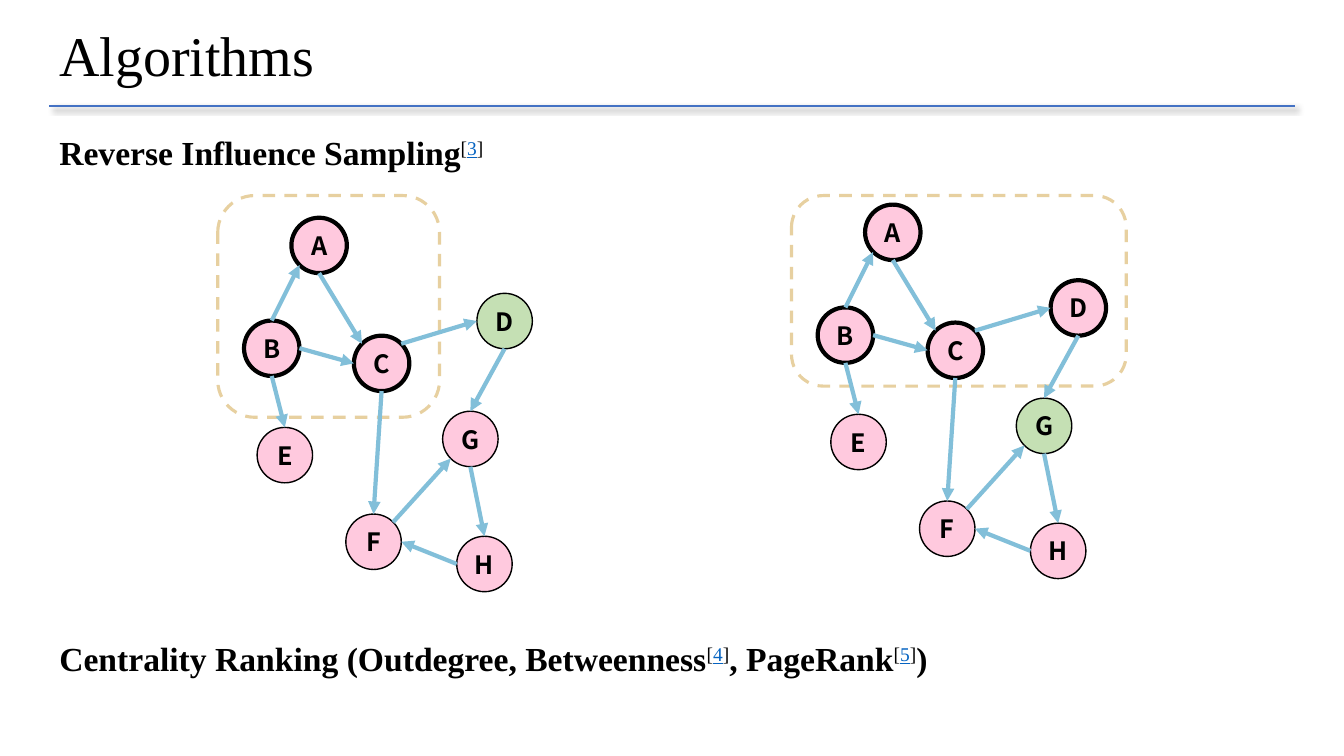
from math import cos, radians, sin

from lxml.etree import SubElement
from pptx import Presentation
from pptx.dml.color import RGBColor
from pptx.enum.dml import MSO_LINE_DASH_STYLE as DASH
from pptx.enum.shapes import MSO_CONNECTOR, MSO_SHAPE
from pptx.enum.text import MSO_ANCHOR, MSO_AUTO_SIZE, PP_ALIGN
from pptx.oxml.ns import qn
from pptx.util import Inches, Pt

BLACK = RGBColor(0x00, 0x00, 0x00)
RULE_BLUE = RGBColor(0x44, 0x72, 0xC4)
LINK_BLUE = RGBColor(0x05, 0x63, 0xC1)
ARROW_BLUE = RGBColor(0x82, 0xBF, 0xD9)
SAND = RGBColor(0xE7, 0xD0, 0xA0)
PINK = RGBColor(0xFF, 0xC9, 0xDE)
GREEN = RGBColor(0xC5, 0xE0, 0xB4)
SERIF, SANS = "Times New Roman", "Noto Sans CJK SC"

TITLE = "Algorithms"
# Plain strings are bold text, integers are reference numbers
SAMPLING = ["Reverse Influence Sampling", 3]
CENTRALITY = ["Centrality Ranking (Outdegree, Betweenness", 4, ", PageRank", 5, ")"]

# Top left corner of each node in the first graph
NODES = {
    "A": (2.89, 2.16), "B": (2.42, 3.18), "C": (3.51, 3.33), "D": (4.73, 2.91),
    "E": (2.55, 4.24), "F": (3.43, 5.10), "G": (4.39, 4.08), "H": (4.53, 5.32),
}
DIAMETER = 0.55
# Angles clockwise from the right-hand side of a node
ANGLES = {"right": 0, "bottom": 90, "bottom left": 135, "left": 180,
          "top left": 225, "top": 270, "top right": 315}
EDGES = [
    ("B", "top", "A", "bottom left"), ("A", "bottom", "C", "top left"),
    ("B", "bottom", "E", "top"), ("B", "right", "C", "left"),
    ("C", "top right", "D", "left"), ("C", "bottom", "F", "top"),
    ("F", "top right", "G", "bottom left"), ("H", "left", "F", "right"),
    ("G", "bottom", "H", "top"), ("D", "bottom", "G", "top"),
]
GRAPHS = [
    {"shift": (0, 0), "frame": (2.16, 1.94, 2.2, 2.2), "reached": "ABC", "next": "D"},
    {"shift": (5.69, -0.13), "frame": (7.85, 1.94, 3.32, 1.89), "reached": "ABCD", "next": "G"},
]

prs = Presentation()
prs.slide_width, prs.slide_height = Inches(13.33), Inches(7.5)
slide = prs.slides.add_slide(prs.slide_layouts[6])
shapes = slide.shapes


def style(run, size, font, color=BLACK, bold=False):
    run.font.size, run.font.name, run.font.bold = Pt(size), font, bold
    run.font.color.rgb = color


def add_text_line(left, top, width, height):
    """Add an empty one-line text box and return its paragraph."""
    frame = shapes.add_textbox(*map(Inches, (left, top, width, height))).text_frame
    frame.word_wrap = False
    frame.auto_size = MSO_AUTO_SIZE.SHAPE_TO_FIT_TEXT
    return frame.paragraphs[0]


def add_heading(parts, top, width):
    paragraph = add_text_line(0.49, top, width, 0.5)
    for part in parts:
        is_reference = isinstance(part, int)
        for piece in ("[", str(part), "]") if is_reference else (part,):
            run = paragraph.add_run()
            run.text = piece
            style(run, 24, SERIF, bold=not is_reference)
            if is_reference:
                run._r.get_or_add_rPr().set("baseline", "30000")
            if piece.isdigit():
                run.font.color.rgb = LINK_BLUE
                run.font.underline = True


def add_line(start, end, color, width):
    """Add a straight line; return it with its empty effect list."""
    line = shapes.add_connector(MSO_CONNECTOR.STRAIGHT, *map(Inches, (*start, *end)))
    line.line.color.rgb, line.line.width = color, Pt(width)
    effects = SubElement(line._element.spPr, qn("a:effectLst"))
    return line, effects


def add_arrow(start, end):
    arrow, _ = add_line(start, end, ARROW_BLUE, 3)
    SubElement(arrow.line._get_or_add_ln(), qn("a:tailEnd"), type="triangle")


def add_title_rule():
    _, effects = add_line((0.49, 1.05), (12.84, 1.05), RULE_BLUE, 1.5)
    shadow = SubElement(effects, qn("a:outerShdw"), blurRad=str(Pt(4)), dist=str(Pt(3)),
                        dir=str(45 * 60000), algn="tl", rotWithShape="0")
    black = SubElement(shadow, qn("a:srgbClr"), val=str(BLACK))
    SubElement(black, qn("a:alpha"), val="40000")


def add_frame(box):
    frame = shapes.add_shape(MSO_SHAPE.ROUNDED_RECTANGLE, *map(Inches, box))
    frame.shadow.inherit = False
    frame.fill.background()
    frame.line.color.rgb, frame.line.width = SAND, Pt(2.25)
    frame.line.dash_style = DASH.DASH


def add_node(letter, left, top, fill, outline):
    node = shapes.add_shape(MSO_SHAPE.OVAL, *map(Inches, (left, top, DIAMETER, DIAMETER)))
    node.shadow.inherit = False
    node.fill.solid()
    node.fill.fore_color.rgb = fill
    node.line.color.rgb, node.line.width = BLACK, Pt(outline)
    label = node.text_frame
    label.margin_left = label.margin_right = label.margin_top = label.margin_bottom = 0
    label.vertical_anchor = MSO_ANCHOR.MIDDLE
    label.text = letter
    label.paragraphs[0].alignment = PP_ALIGN.CENTER
    style(label.paragraphs[0].runs[0], 18, SANS, bold=True)


def rim_point(corner, side):
    """Return the point of a node's rim that faces the given side."""
    radius, angle = DIAMETER / 2, radians(ANGLES[side])
    return corner[0] + radius * (1 + cos(angle)), corner[1] + radius * (1 + sin(angle))


def add_graph(graph):
    dx, dy = graph["shift"]
    corners = {letter: (x + dx, y + dy) for letter, (x, y) in NODES.items()}
    add_frame(graph["frame"])
    for letter, corner in corners.items():
        fill = GREEN if letter == graph["next"] else PINK
        add_node(letter, *corner, fill, 3 if letter in graph["reached"] else 1)
    for source, exit_side, target, entry_side in EDGES:
        add_arrow(rim_point(corners[source], exit_side), rim_point(corners[target], entry_side))


add_title_rule()
title = add_text_line(0.49, 0.15, 2.76, 0.77)
title.text = TITLE
style(title.runs[0], 40, SERIF)
add_heading(SAMPLING, 1.26, 6.67)
for graph in GRAPHS:
    add_graph(graph)
add_heading(CENTRALITY, 6.28, 8.97)

prs.save("out.pptx")
